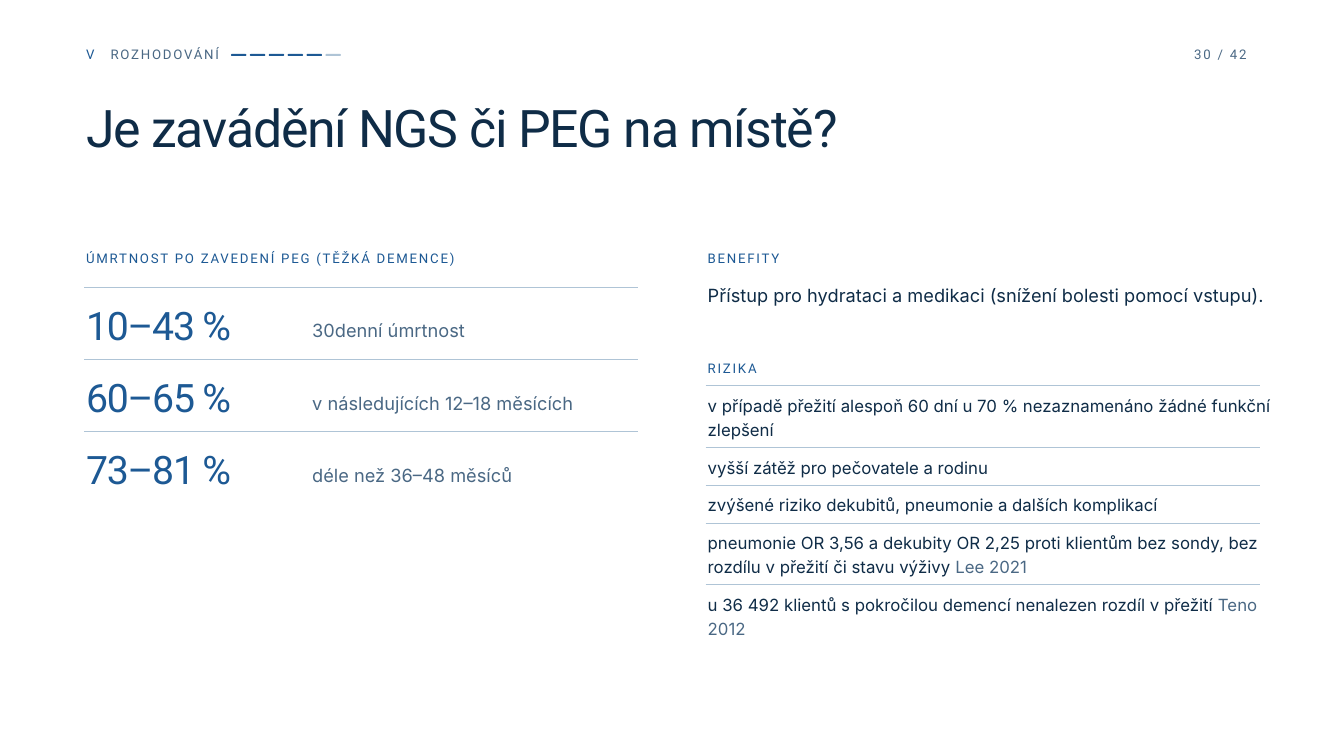
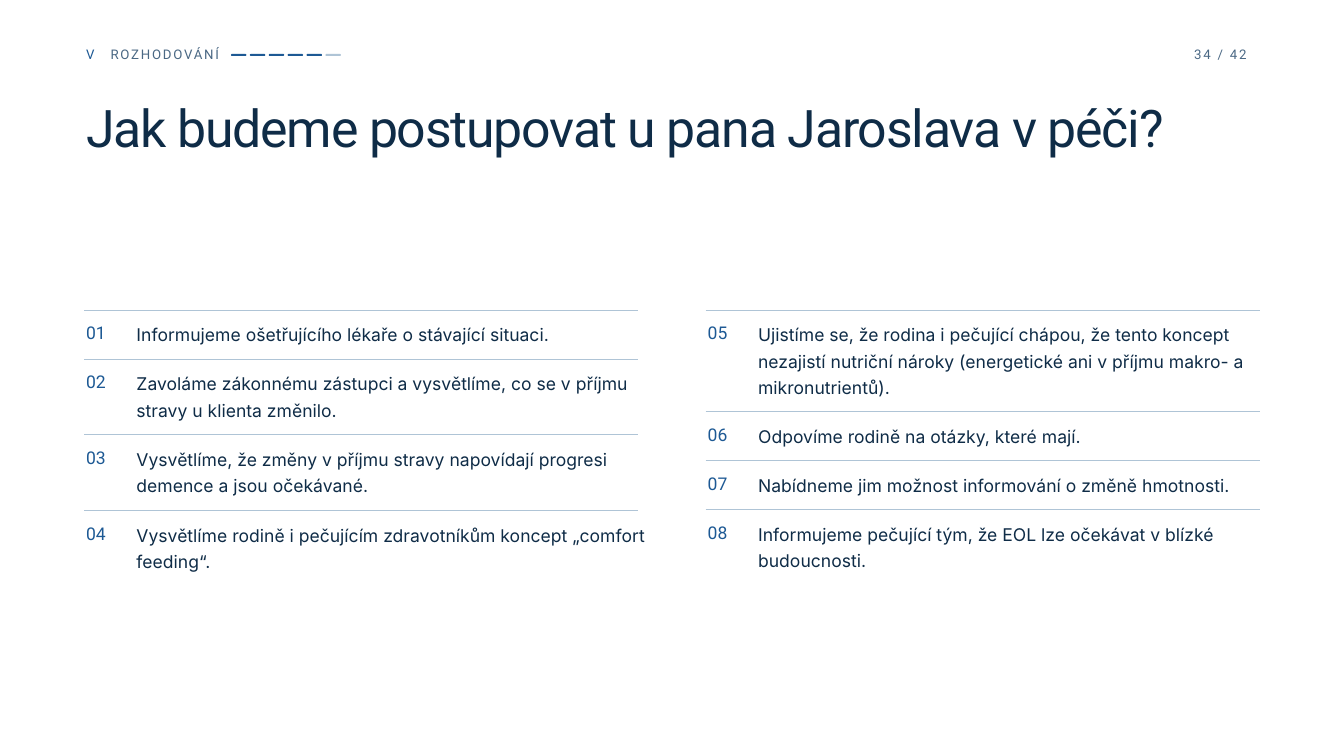
from dataclasses import dataclass, replace

from lxml.etree import SubElement
from pptx import Presentation
from pptx.dml.color import RGBColor
from pptx.enum.shapes import MSO_CONNECTOR, MSO_SHAPE
from pptx.enum.text import MSO_AUTO_SIZE
from pptx.oxml.ns import qn
from pptx.util import Emu, Pt

BLUE = RGBColor(0x1D, 0x59, 0x94)
NAVY = RGBColor(0x0F, 0x2C, 0x47)
SLATE = RGBColor(0x4A, 0x68, 0x84)
MIST = RGBColor(0xAF, 0xC4, 0xD6)

EMU_PER_PX = 9525
LEFT, RIGHT = 120, 1008
COLUMN_WIDTH = 792
TEXT_INSET = 3
BODY_WIDTH = 810
PAGE_COUNT = 42
SECTION_COUNT = 6


@dataclass(frozen=True)
class Style:
    font: str
    size: float
    color: RGBColor
    leading: float
    tracking: int = 0  # hundredths of a point


LABEL = Style("Roboto", 14.2, BLUE, 21.5, 190)
MUTED_LABEL = replace(LABEL, color=SLATE)
TITLE = Style("Roboto", 55.5, NAVY, 56.7, -130)
FIGURE = Style("Roboto", 42, BLUE, 38.7, -130)
FIGURE_NOTE = Style("Inter", 19.5, SLATE, 27)
BENEFIT = Style("Inter", 19.5, NAVY, 29)
RISK = Style("Inter", 18, NAVY, 25.5)
STEP_NUMBER = Style("Roboto", 18.8, BLUE, 26)
STEP = Style("Inter", 18.8, NAVY, 28.1)

MORTALITY = [
    ("10–43 %", "30denní úmrtnost"),
    ("60–65 %", "v následujících 12–18 měsících"),
    ("73–81 %", "déle než 36–48 měsíců"),
]

# text, cited source, number of lines
RISKS = [
    ("v případě přežití alespoň 60 dní u 70 % nezaznamenáno žádné funkční zlepšení", "", 2),
    ("vyšší zátěž pro pečovatele a rodinu", "", 1),
    ("zvýšené riziko dekubitů, pneumonie a dalších komplikací", "", 1),
    ("pneumonie OR 3,56 a dekubity OR 2,25 proti klientům bez sondy, bez rozdílu v přežití "
     "či stavu výživy ", "Lee 2021", 2),
    ("u 36 492 klientů s pokročilou demencí nenalezen rozdíl v přežití ", "Teno 2012", 2),
]

# text, number of lines
FIRST_STEPS = [
    ("Informujeme ošetřujícího lékaře o stávající situaci.", 1),
    ("Zavoláme zákonnému zástupci a vysvětlíme, co se v příjmu stravy u klienta změnilo.", 2),
    ("Vysvětlíme, že změny v příjmu stravy napovídají progresi demence a jsou očekávané.", 2),
    ("Vysvětlíme rodině i pečujícím zdravotníkům koncept „comfort feeding“.", 2),
]
LAST_STEPS = [
    ("Ujistíme se, že rodina i pečující chápou, že tento koncept nezajistí nutriční nároky "
     "(energetické ani v příjmu makro- a mikronutrientů).", 3),
    ("Odpovíme rodině na otázky, které mají.", 1),
    ("Nabídneme jim možnost informování o změně hmotnosti.", 1),
    ("Informujeme pečující tým, že EOL lze očekávat v blízké budoucnosti.", 2),
]


def px(length):
    return Emu(length * EMU_PER_PX)


def format_span(span, style):
    font = span.font
    font.name = style.font
    font.size = Pt(style.size)
    font.color.rgb = style.color
    if style.tracking:
        font._element.set("spc", str(style.tracking))


def add_text(page, left, top, width, text, style, lines=1, source=""):
    """Place text; a cited source follows it in the muted colour."""
    height = round(lines * style.leading * 96 / 72)
    box = page.shapes.add_textbox(px(left), px(top), px(width), px(height))
    frame = box.text_frame
    frame.margin_left = frame.margin_right = frame.margin_top = frame.margin_bottom = 0
    frame.word_wrap = True
    frame.auto_size = MSO_AUTO_SIZE.SHAPE_TO_FIT_TEXT
    para = frame.paragraphs[0]
    para.text = text
    para.line_spacing = Pt(style.leading)
    format_span(para.runs[0], style)
    if source:
        span = para.add_run()
        span.text = source
        format_span(span, replace(style, color=SLATE))


def add_rule(page, left, top):
    rule = page.shapes.add_connector(
        MSO_CONNECTOR.STRAIGHT, px(left), px(top), px(left + COLUMN_WIDTH), px(top))
    rule.line.color.rgb = MIST
    rule.line.width = px(1)
    SubElement(rule._element.spPr, qn("a:effectLst"))


def add_progress(page, section):
    for index in range(SECTION_COUNT):
        dash = page.shapes.add_shape(
            MSO_SHAPE.ROUNDED_RECTANGLE, px(330 + 27 * index), px(77), px(22), px(3))
        dash.adjustments[0] = 0.5
        dash.shadow.inherit = False
        dash.fill.solid()
        dash.fill.fore_color.rgb = BLUE if index < section else MIST
        dash.line.fill.background()


def add_page(deck, number, title):
    """Add a page with the section header, the page number and the title."""
    page = deck.slides.add_slide(deck.slide_layouts[6])
    add_text(page, 123, 60, 16, "V", LABEL)
    add_text(page, 158, 60, 172, "ROZHODOVÁNÍ", MUTED_LABEL)
    add_progress(page, 5)
    add_text(page, 1706, 60, 100, f"{number} / {PAGE_COUNT}", MUTED_LABEL)
    add_text(page, 123, 150, 1700, title, TITLE)
    return page


def add_mortality(page, left, top):
    for index, (share, period) in enumerate(MORTALITY):
        row_top = top + 103 * index
        add_rule(page, left, row_top)
        add_text(page, left + TEXT_INSET, row_top + 36, 324, share, FIGURE)
        add_text(page, left + 326, row_top + 42, 510, period, FIGURE_NOTE)


def add_risks(page, left, top):
    for text, source, lines in RISKS:
        add_rule(page, left, top)
        add_text(page, left + TEXT_INSET, top + 9, BODY_WIDTH, text, RISK, lines, source)
        top += 20 + 34 * lines


def add_steps(page, left, top, steps, first_number):
    for number, (text, lines) in enumerate(steps, first_number):
        add_rule(page, left, top)
        add_text(page, left + TEXT_INSET, top + 13, 59, f"{number:02}", STEP_NUMBER)
        add_text(page, left + 75, top + 13, 736, text, STEP, lines)
        top += 33 + 75 * lines // 2


def add_tube_feeding_page(deck):
    page = add_page(deck, 30, "Je zavádění NGS či PEG na místě?")
    left_text, right_text = LEFT + TEXT_INSET, RIGHT + TEXT_INSET
    add_text(page, left_text, 352, BODY_WIDTH, "ÚMRTNOST PO ZAVEDENÍ PEG (TĚŽKÁ DEMENCE)", LABEL)
    add_mortality(page, LEFT, 410)
    add_text(page, right_text, 352, BODY_WIDTH, "BENEFITY", LABEL)
    add_text(page, right_text, 399, BODY_WIDTH,
             "Přístup pro hydrataci a medikaci (snížení bolesti pomocí vstupu).", BENEFIT)
    add_text(page, right_text, 509, BODY_WIDTH, "RIZIKA", LABEL)
    add_risks(page, RIGHT, 551)


def add_care_steps_page(deck):
    page = add_page(deck, 34, "Jak budeme postupovat u pana Jaroslava v péči?")
    add_steps(page, LEFT, 443, FIRST_STEPS, 1)
    add_steps(page, RIGHT, 443, LAST_STEPS, len(FIRST_STEPS) + 1)


def main():
    deck = Presentation()
    deck.slide_width, deck.slide_height = px(1920), px(1080)
    add_tube_feeding_page(deck)
    add_care_steps_page(deck)
    deck.save("out.pptx")


if __name__ == "__main__":
    main()
